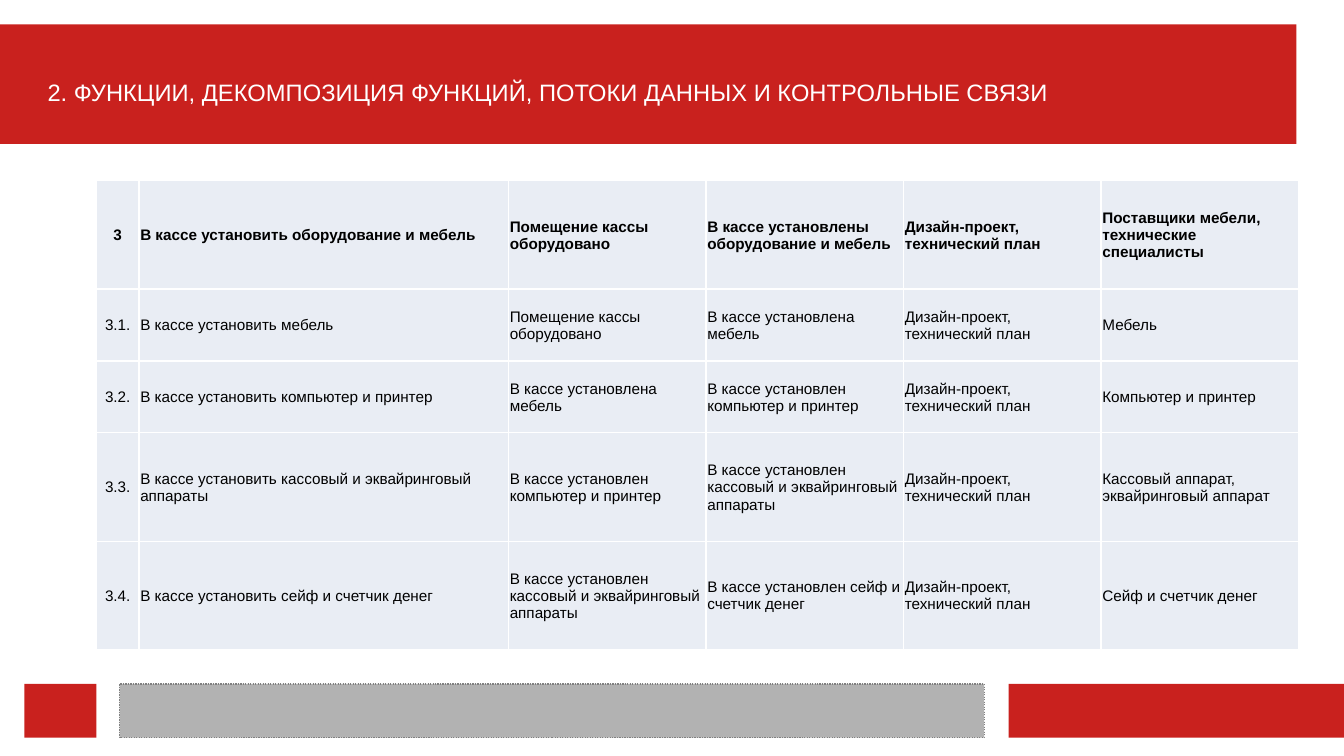
from lxml import etree
from pptx import Presentation
from pptx import util as u
from pptx.dml.color import RGBColor
from pptx.enum import dml, shapes, text
from pptx.oxml import ns

RED = RGBColor(0xC9, 0x21, 0x1E)
GREY = RGBColor(0xB2, 0xB2, 0xB2)
DARK_GREY = RGBColor(0x80, 0x80, 0x80)
PALE_BLUE = RGBColor(0xE9, 0xED, 0xF4)
WHITE = RGBColor(0xFF, 0xFF, 0xFF)
BLACK = RGBColor(0x00, 0x00, 0x00)

TITLE = "2. ФУНКЦИИ, ДЕКОМПОЗИЦИЯ ФУНКЦИЙ, ПОТОКИ ДАННЫХ И КОНТРОЛЬНЫЕ СВЯЗИ"
FOOTER_TOP, FOOTER_HEIGHT = 5.61, 0.44

PLAN = "Дизайн-проект, технический план"
EQUIPPED = "Помещение кассы оборудовано"
FURNITURE_READY = "В кассе установлена мебель"
COMPUTER_READY = "В кассе установлен компьютер и принтер"
REGISTER_READY = "В кассе установлен кассовый и эквайринговый аппараты"
FUNCTIONS = [
    ("3", "В кассе установить оборудование и мебель", EQUIPPED,
     "В кассе установлены оборудование и мебель", PLAN,
     "Поставщики мебели, технические специалисты"),
    ("3.1.", "В кассе установить мебель", EQUIPPED,
     FURNITURE_READY, PLAN, "Мебель"),
    ("3.2.", "В кассе установить компьютер и принтер", FURNITURE_READY,
     COMPUTER_READY, PLAN, "Компьютер и принтер"),
    ("3.3.", "В кассе установить кассовый и эквайринговый аппараты", COMPUTER_READY,
     REGISTER_READY, PLAN, "Кассовый аппарат, эквайринговый аппарат"),
    ("3.4.", "В кассе установить сейф и счетчик денег", REGISTER_READY,
     "В кассе установлен сейф и счетчик денег", PLAN, "Сейф и счетчик денег"),
]
COLUMN_WIDTHS = [0.35, 3.03] + [1.62] * 4
ROW_HEIGHTS = [0.89, 0.59, 0.59, 0.89, 0.89]


def apply_format(target, values):
    for name, value in values.items():
        setattr(target, name, value)


def inches(*lengths):
    return [u.Inches(length) for length in lengths]


def add_bar(page, place, color):
    bar = page.shapes.add_shape(shapes.MSO_SHAPE.RECTANGLE, *inches(*place))
    bar.shadow.inherit = False
    bar.fill.solid()
    bar.fill.fore_color.rgb = color
    bar.line.fill.background()
    return bar


def outline_dotted(bar, color):
    bar.line.color.rgb = color
    apply_format(bar.line, {"width": u.Pt(0), "dash_style": dml.MSO_LINE.ROUND_DOT})


def write(para, words, size, color, bold=False):
    span = para.add_run()
    span.text = words
    apply_format(span.font, {"name": "Arial", "size": u.Pt(size), "bold": bold})
    span.font.color.rgb = color


def add_title(page):
    box = page.shapes.add_textbox(*inches(0.39, 0.3, 10.24, 0.79))
    apply_format(box.text_frame, {
        "word_wrap": True, "vertical_anchor": text.MSO_ANCHOR.BOTTOM,
        "margin_left": 0, "margin_right": 0, "margin_top": 0,
        "margin_bottom": u.Inches(0.22)})
    write(box.text_frame.paragraphs[0], TITLE, 14, WHITE)


def add_borders(cell, color):
    properties = cell._tc.get_or_add_tcPr()
    for side in ("a:lnL", "a:lnR", "a:lnT", "a:lnB"):
        line = etree.SubElement(properties, ns.qn(side), w=str(u.Pt(1)))
        fill = etree.SubElement(line, ns.qn("a:solidFill"))
        etree.SubElement(fill, ns.qn("a:srgbClr"), val=str(color))


def fill_cell(cell, words, centred, bold):
    apply_format(cell, {
        "vertical_anchor": text.MSO_ANCHOR.MIDDLE,
        "margin_left": u.Inches(0.01), "margin_right": u.Inches(0.01),
        "margin_top": u.Inches(0.01), "margin_bottom": 0})
    add_borders(cell, WHITE)
    cell.fill.solid()
    cell.fill.fore_color.rgb = PALE_BLUE
    para = cell.text_frame.paragraphs[0]
    para.alignment = text.PP_ALIGN.CENTER if centred else text.PP_ALIGN.LEFT
    write(para, words, 9, BLACK, bold)


def add_function_table(page):
    frame = page.shapes.add_table(len(ROW_HEIGHTS), len(COLUMN_WIDTHS),
                                  *inches(0.79, 1.48, 9.84, 3.84))
    table = frame.table
    apply_format(table, {"first_row": False, "horz_banding": False})
    for column, width in zip(table.columns, COLUMN_WIDTHS):
        column.width = u.Inches(width)
    for row, height in zip(table.rows, ROW_HEIGHTS):
        row.height = u.Inches(height)
    for r, function in enumerate(FUNCTIONS):
        for c, words in enumerate(function):
            fill_cell(table.cell(r, c), words, centred=c == 0, bold=r == 0)


def main():
    deck = Presentation()
    apply_format(deck, {"slide_width": u.Inches(11.02), "slide_height": u.Inches(6.2)})
    page = deck.slides.add_slide(deck.slide_layouts[6])

    add_bar(page, (0, 0.2, 10.63, 0.98), RED)
    for left, width, color in ((8.27, 2.75, RED), (0.98, 7.09, GREY), (0.2, 0.59, RED)):
        bar = add_bar(page, (left, FOOTER_TOP, width, FOOTER_HEIGHT), color)
        if color == GREY:
            outline_dotted(bar, DARK_GREY)
    add_title(page)
    add_function_table(page)
    deck.save("out.pptx")


if __name__ == "__main__":
    main()
